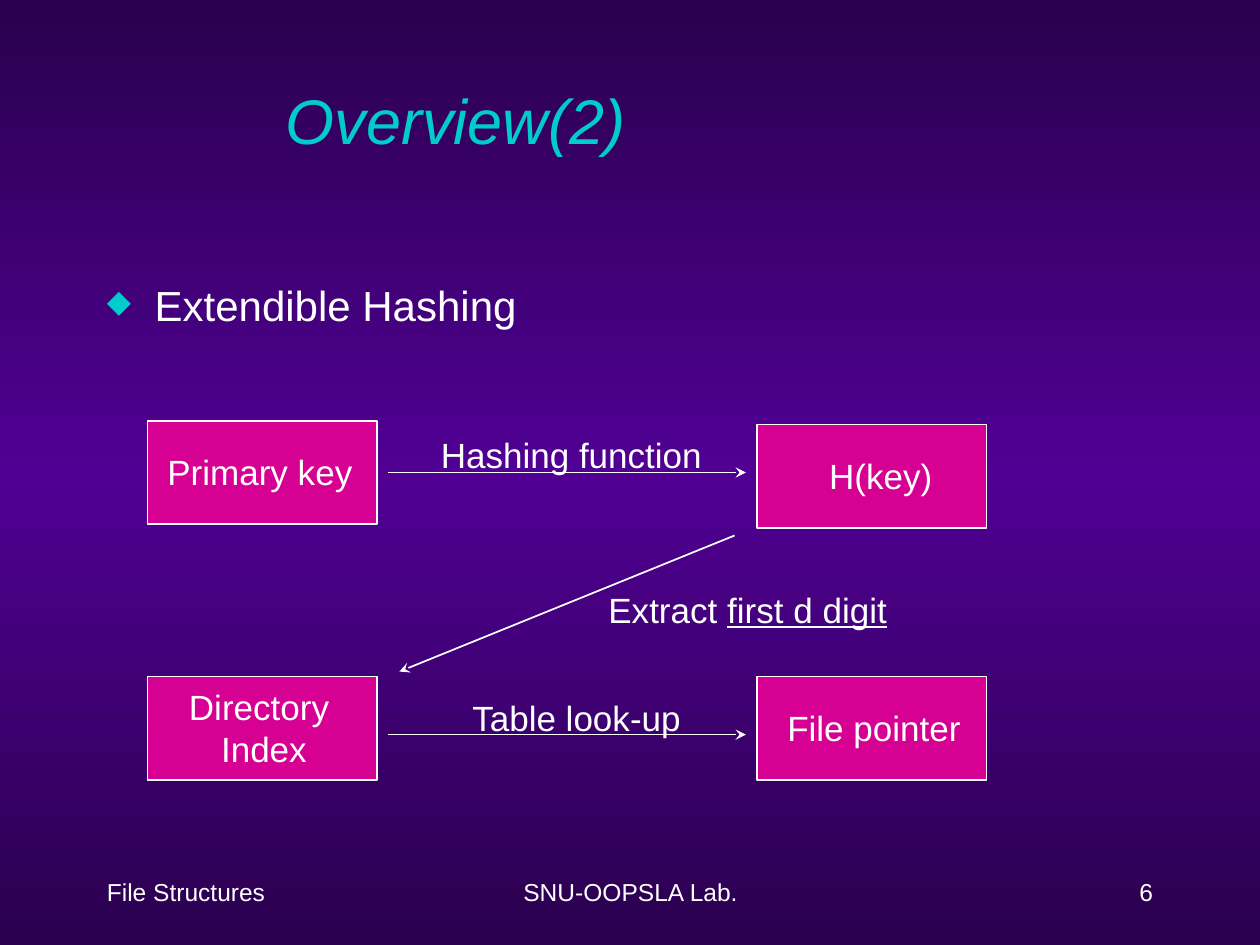
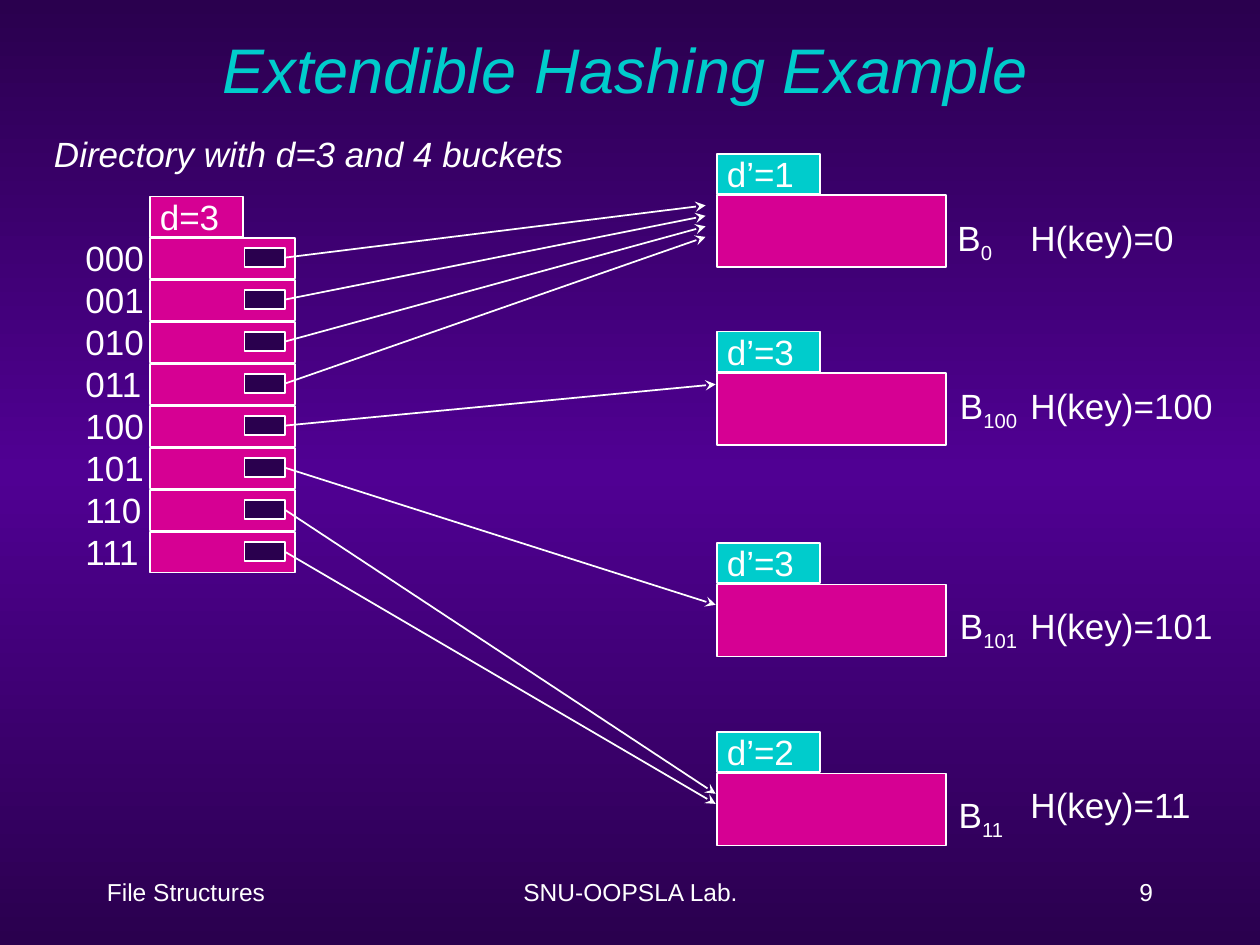
from copy import deepcopy
from dataclasses import dataclass

from lxml.etree import SubElement
from pptx import Presentation
from pptx.dml.color import RGBColor
from pptx.enum.shapes import MSO_CONNECTOR as Connector, MSO_SHAPE as Preset
from pptx.enum.text import MSO_ANCHOR as Anchor, MSO_AUTO_SIZE as AutoSize, PP_ALIGN as Align
from pptx.oxml.ns import qn
from pptx.presentation import Presentation as Deck
from pptx.shapes.autoshape import Shape
from pptx.shapes.connector import Connector as Line
from pptx.slide import Slide
from pptx.util import Inches, Pt

FONT = "Arial"
WHITE = "FFFFFF"
TEAL = "00CCCC"
MAGENTA = "D60093"
DARK = "2A004E"
VIOLET = "500093"
LABEL_HEIGHT = 0.43


@dataclass(frozen=True)
class Run:
    text: str
    size: float = 20
    color: str = WHITE
    italic: bool = False
    underline: bool = False
    subscript: bool = False


@dataclass(frozen=True)
class Box:
    left: float
    top: float
    width: float
    height: float

    def lengths(self) -> list[Inches]:
        return [Inches(v) for v in (self.left, self.top, self.width, self.height)]


@dataclass(frozen=True)
class Label:
    box: Box
    lines: list[list[Run]]
    align: Align = Align.LEFT
    anchor: Anchor = Anchor.TOP
    wrap: bool = False


@dataclass(frozen=True)
class Arrow:
    start: tuple[float, float]
    end: tuple[float, float]


@dataclass(frozen=True)
class Bucket:
    top: float
    depth: str
    prefix: str
    name_left: float
    name_top: float
    name_width: float
    key_top: float
    key_width: float


@dataclass(frozen=True)
class Entry:
    bits: str
    target: tuple[float, float]


STEP_BOXES = [
    Box(left, top, 1.82, 0.82)
    for left, top in ((1.17, 3.34), (6.01, 3.37), (1.17, 5.37), (6.01, 5.37))
]
STEP_LABELS = [
    Label(Box(1.23, 3.53, 1.67, LABEL_HEIGHT), [[Run("Primary key")]]),
    Label(Box(6.48, 3.56, 1.02, LABEL_HEIGHT), [[Run("H(key)")]], Align.CENTER),
    Label(Box(1.4, 5.39, 1.39, 0.77), [[Run("Directory ")], [Run("Index")]], Align.CENTER),
    Label(Box(6.15, 5.56, 1.58, LABEL_HEIGHT), [[Run("File pointer")]]),
    Label(Box(3.4, 3.39, 2.28, LABEL_HEIGHT), [[Run("Hashing function")]]),
    Label(
        Box(4.73, 4.62, 2.41, LABEL_HEIGHT),
        [[Run("Extract "), Run("first d digit", underline=True)]],
    ),
    Label(Box(3.65, 5.48, 1.89, LABEL_HEIGHT), [[Run("Table look-up")]]),
]
STEP_ARROWS = [
    Arrow((3.08, 3.75), (5.92, 3.75)),
    Arrow((5.83, 4.25), (3.17, 5.33)),
    Arrow((3.08, 5.83), (5.92, 5.83)),
]
BUCKETS = [
    Bucket(1.22, "d’=1", "0", 7.5, 1.67, 0.48, 1.67, 1.34),
    Bucket(2.63, "d’=3", "100", 7.52, 3, 0.66, 3, 1.65),
    Bucket(4.31, "d’=3", "101", 7.52, 4.75, 0.66, 4.75, 1.65),
    Bucket(5.81, "d’=2", "11", 7.51, 6.25, 0.57, 6.17, 1.49),
]
ENTRIES = [Entry(f"{row:03b}", (5.6, 1.63 + row / 12)) for row in range(4)] + [
    Entry("100", (5.68, 3.05)),
    Entry("101", (5.68, 4.8)),
    Entry("110", (5.68, 6.3)),
    Entry("111", (5.68, 6.38)),
]


def rgb(color: str) -> RGBColor:
    return RGBColor.from_string(color)


def set_background(presentation: Deck) -> None:
    master = presentation.slide_master
    fill = master.background.fill
    fill.gradient()
    stop_list = master.element.find(".//" + qn("p:bg")).find(".//" + qn("a:gsLst"))
    stop_list.insert(1, deepcopy(stop_list[0]))
    fill.gradient_angle = 270
    for stop, position, color in zip(fill.gradient_stops, (0, 0.5, 1), (DARK, VIOLET, DARK)):
        stop.position = position
        stop.color.rgb = rgb(color)


def add_label(slide: Slide, label: Label) -> Shape:
    shape = slide.shapes.add_textbox(*label.box.lengths())
    frame = shape.text_frame
    frame.word_wrap = label.wrap
    frame.auto_size = AutoSize.NONE if label.wrap else AutoSize.SHAPE_TO_FIT_TEXT
    frame.vertical_anchor = label.anchor
    for index, runs in enumerate(label.lines):
        paragraph = frame.add_paragraph() if index else frame.paragraphs[0]
        paragraph.alignment = label.align
        for item in runs:
            run = paragraph.add_run()
            run.text = item.text
            font = run.font
            font.name = FONT
            font.size = Pt(item.size)
            font.color.rgb = rgb(item.color)
            font.italic = item.italic
            font.underline = item.underline
            if item.subscript:
                run._r.get_or_add_rPr().set("baseline", "-25000")
    return shape


def add_rectangle(slide: Slide, box: Box, color: str) -> Shape:
    shape = slide.shapes.add_shape(Preset.RECTANGLE, *box.lengths())
    shape.shadow.inherit = False
    shape.fill.solid()
    shape.fill.fore_color.rgb = rgb(color)
    shape.line.color.rgb = rgb(WHITE)
    shape.line.width = Pt(1)
    return shape


def add_arrow(slide: Slide, arrow: Arrow) -> Line:
    points = [Inches(v) for v in (*arrow.start, *arrow.end)]
    connector = slide.shapes.add_connector(Connector.STRAIGHT, *points)
    connector.line.color.rgb = rgb(WHITE)
    connector.line.width = Pt(1)
    SubElement(connector.line._get_or_add_ln(), qn("a:tailEnd"), type="stealth")
    SubElement(connector._element.spPr, qn("a:effectLst"))
    return connector


def add_bullet(shape: Shape) -> None:
    properties = shape.text_frame.paragraphs[0]._p.get_or_add_pPr()
    properties.set("marL", str(Inches(0.38)))
    properties.set("indent", str(Inches(-0.38)))
    color = SubElement(properties, qn("a:buClr"))
    SubElement(color, qn("a:srgbClr"), val=TEAL)
    SubElement(properties, qn("a:buSzPct"), val="75000")
    SubElement(properties, qn("a:buChar"), char="◆")


def add_page(presentation: Deck, title: str, title_box: Box, number: int) -> Slide:
    slide = presentation.slides.add_slide(presentation.slide_layouts[6])
    title_runs = [[Run(title, 36, TEAL, italic=True)]]
    add_label(slide, Label(title_box, title_runs, anchor=Anchor.MIDDLE, wrap=True))
    footers = [
        (0.75, 2.08, "File Structures", Align.LEFT),
        (3.42, 3.17, "SNU-OOPSLA Lab.", Align.CENTER),
        (7.17, 2.08, str(number), Align.RIGHT),
    ]
    for left, width, text, align in footers:
        box = Box(left, 6.83, width, 0.5)
        add_label(slide, Label(box, [[Run(text, 14)]], align, Anchor.MIDDLE, True))
    return slide


def add_bucket(slide: Slide, bucket: Bucket) -> None:
    add_rectangle(slide, Box(5.69, bucket.top, 0.82, 0.32), TEAL)
    add_rectangle(slide, Box(5.69, bucket.top + 0.33, 1.82, 0.57), MAGENTA)
    depth_box = Box(5.67, bucket.top - 0.06, 0.74, LABEL_HEIGHT)
    name_box = Box(bucket.name_left, bucket.name_top, bucket.name_width, 0.48)
    key_box = Box(8.08, bucket.key_top, bucket.key_width, LABEL_HEIGHT)
    add_label(slide, Label(depth_box, [[Run(bucket.depth)]]))
    add_label(slide, Label(name_box, [[Run("B"), Run(bucket.prefix, subscript=True)]]))
    add_label(slide, Label(key_box, [[Run(f"H(key)={bucket.prefix}")]]))


def add_entry(slide: Slide, entry: Entry, top: float) -> Shape:
    add_rectangle(slide, Box(1.19, top, 1.15, 0.32), MAGENTA)
    pointer = add_rectangle(slide, Box(1.94, top + 0.08, 0.32, 0.15), DARK)
    add_label(slide, Label(Box(0.58, top - 0.06, 0.67, LABEL_HEIGHT), [[Run(entry.bits)]]))
    return pointer


def build_overview(presentation: Deck) -> None:
    slide = add_page(presentation, "Overview(2)", Box(2.17, 0.42, 3.67, 1.06), 6)
    topic = Label(Box(0.75, 2.17, 8.67, 0.67), [[Run("Extendible Hashing", 24)]], wrap=True)
    add_bullet(add_label(slide, topic))
    for box in STEP_BOXES:
        add_rectangle(slide, box, MAGENTA)
    for arrow in STEP_ARROWS:
        add_arrow(slide, arrow)
    for label in STEP_LABELS:
        add_label(slide, label)


def build_example(presentation: Deck) -> None:
    slide = add_page(presentation, "Extendible Hashing Example", Box(1.67, 0.25, 7, 0.58), 9)
    caption = [[Run("Directory with d=3 and 4 buckets", italic=True)]]
    add_label(slide, Label(Box(0.33, 1, 4.25, LABEL_HEIGHT), caption))
    add_rectangle(slide, Box(1.19, 1.56, 0.74, 0.32), MAGENTA)
    add_label(slide, Label(Box(1.17, 1.5, 0.67, LABEL_HEIGHT), [[Run("d=3")]]))
    pointers = [add_entry(slide, entry, 1.89 + row / 3) for row, entry in enumerate(ENTRIES)]
    for bucket in BUCKETS:
        add_bucket(slide, bucket)
    for row, (entry, pointer) in enumerate(zip(ENTRIES, pointers)):
        arrow = add_arrow(slide, Arrow((2.26, 2.05 + row / 3), entry.target))
        arrow.begin_connect(pointer, 3)


def main() -> None:
    presentation = Presentation()
    presentation.slide_width = Inches(10)
    presentation.slide_height = Inches(7.5)
    set_background(presentation)
    build_overview(presentation)
    build_example(presentation)
    presentation.save("out.pptx")


if __name__ == "__main__":
    main()
